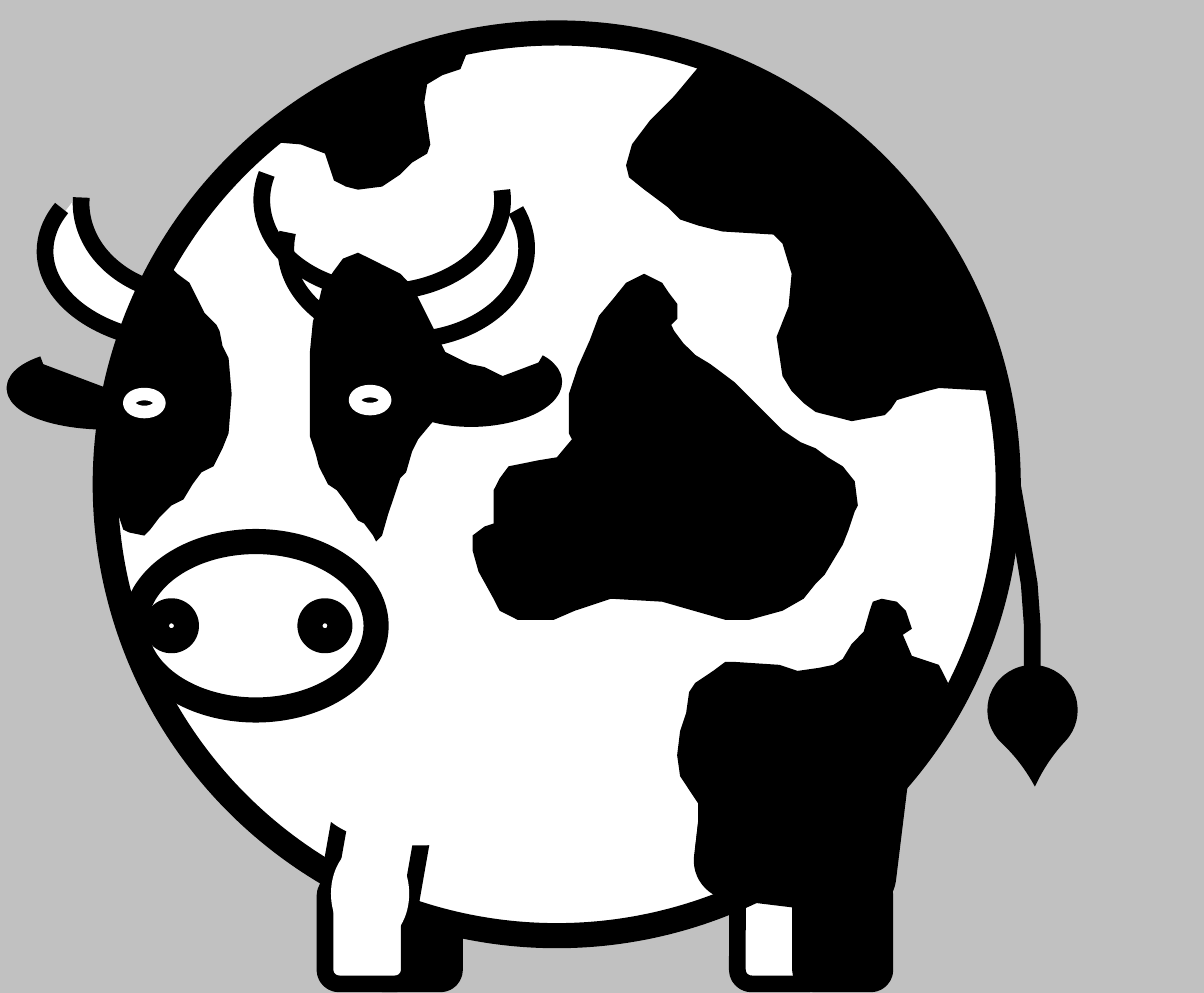
from pptx import Presentation
from pptx.dml.color import RGBColor
from pptx.enum.shapes import MSO_SHAPE as Preset
from pptx.util import Cm, Pt

BLACK, WHITE, GRAY = "000000", "FFFFFF", "C1C1C1"
THIN, MEDIUM, THICK = 3, 4, 6
DEGREE = 0.6  # one degree in adjustment units

# Outlines are in hundredths of an inch.
LEFT_HORN_BASE = [
    (49, 97), (44, 95), (39, 91), (34, 87), (32, 84), (30, 78), (28, 66), (25, 66),
    (22, 70), (18, 75), (16, 81), (17, 90), (19, 96), (24, 100), (30, 105), (36, 108),
    (41, 110), (44, 112), (47, 112), (47, 101),
]
RIGHT_EYE_PATCH = [
    (148, 135), (154, 136), (163, 135), (167, 132), (170, 129), (169, 126), (161, 122),
    (156, 121), (148, 117), (145, 111), (142, 105), (138, 97), (137, 95), (133, 91),
    (127, 88), (123, 86), (119, 84), (114, 86), (111, 90), (107, 96), (106, 100),
    (104, 107), (103, 117), (103, 145), (105, 151), (106, 155), (109, 161), (112, 163),
    (115, 167), (119, 173), (121, 174), (124, 178), (125, 180), (127, 178), (129, 171),
    (131, 165), (133, 159), (135, 157), (137, 150), (139, 146), (144, 140), (146, 136),
]
LEFT_EYE_PATCH = [
    (55, 87), (59, 91), (63, 94), (66, 100), (68, 104), (72, 108), (73, 110), (74, 115),
    (76, 119), (77, 131), (76, 144), (74, 149), (71, 155), (67, 157), (64, 161),
    (61, 166), (57, 168), (53, 172), (50, 176), (48, 178), (43, 177), (41, 176),
    (39, 170), (37, 166), (35, 159), (34, 155), (33, 149), (39, 118),
]
RUMP_PATCH = [
    (230, 20), (234, 20), (224, 32), (216, 40), (210, 48), (208, 55), (209, 59),
    (214, 63), (222, 69), (226, 73), (232, 75), (240, 77), (257, 78), (260, 81),
    (263, 91), (262, 102), (258, 112), (260, 125), (263, 130), (267, 134), (271, 137),
    (283, 140), (294, 138), (296, 136), (298, 133), (308, 130), (312, 129), (330, 130),
    (316, 89), (288, 51), (242, 20),
]
BELLY_PATCH = [
    (185, 152), (179, 153), (169, 155), (166, 159), (164, 163), (164, 174), (161, 175),
    (157, 178), (157, 183), (159, 190), (164, 199), (166, 203), (172, 206), (184, 206),
    (191, 203), (197, 201), (203, 199), (220, 200), (227, 202), (234, 204), (241, 206),
    (249, 206), (260, 203), (267, 199), (271, 194), (274, 191), (277, 186), (280, 181),
    (282, 176), (284, 170), (285, 168), (284, 160), (280, 155), (275, 152), (271, 149),
    (266, 147), (260, 143), (252, 135), (244, 127), (236, 121), (231, 118), (227, 114),
    (224, 110), (223, 108), (225, 106), (225, 101), (222, 97), (220, 94), (214, 91),
    (208, 94), (204, 99), (199, 105), (196, 113), (192, 122), (189, 131), (189, 144),
    (190, 146),
]
BACK_PATCH = [
    (88, 47), (100, 48), (108, 51), (111, 60), (115, 62), (119, 63), (127, 62),
    (133, 58), (137, 54), (142, 51), (143, 48), (142, 41), (141, 34), (142, 28),
    (147, 25), (153, 23), (155, 18), (152, 14), (144, 15), (136, 18), (127, 23),
    (117, 30), (106, 34), (101, 39), (94, 41),
]
HIND_PATCH = [
    (235, 279), (231, 282), (232, 273), (232, 267), (228, 261), (226, 258), (225, 251),
    (226, 243), (228, 237), (229, 230), (231, 227), (237, 223), (241, 220), (244, 220),
    (259, 221), (265, 223), (272, 222), (277, 221), (280, 219), (283, 214), (287, 210),
    (289, 203), (290, 200), (293, 199), (298, 200), (301, 203), (303, 209), (300, 211),
    (303, 218), (309, 220), (312, 221), (315, 227), (313, 233), (282, 283),
]
TAIL = [
    (327, 110), (330, 126), (333, 142), (336, 159), (339, 176), (342, 194), (343, 208),
    (343, 219), (343, 230),
]


def inches(value):
    return Cm(2.54 * value)


def color(hex_value):
    return RGBColor.from_string(hex_value)


def paint(shape, fill, line_width, line_color):
    shape.shadow.inherit = False
    if fill:
        shape.fill.solid()
        shape.fill.fore_color.rgb = color(fill)
    else:
        shape.fill.background()
    if line_width:
        shape.line.width = Pt(line_width)
        shape.line.color.rgb = color(line_color)
    else:
        shape.line.fill.background()


def add_preset(slide, preset, box, fill=None, line_width=0, line_color=BLACK,
               adjustments=(), rotation=0, flip=""):
    """Add a preset shape; flip holds any of the letters H and V."""
    shape = slide.shapes.add_shape(preset, *map(inches, box))
    paint(shape, fill, line_width, line_color)
    for index, value in enumerate(adjustments):
        shape.adjustments[index] = value
    shape.rotation = rotation
    for axis in flip:
        shape._element.spPr.xfrm.set(f"flip{axis}", "1")


def add_arc(slide, box, start, end, **style):
    add_preset(slide, Preset.ARC, box, line_width=MEDIUM,
               adjustments=(start * DEGREE, end * DEGREE), **style)


def add_outline(slide, points, fill=None, line_width=0, closed=True):
    builder = slide.shapes.build_freeform(*points[0], scale=inches(0.01))
    builder.add_line_segments(points[1:], close=closed)
    paint(builder.convert_to_shape(), fill, line_width, BLACK)


def add_lower_leg(slide, left, fill):
    add_preset(slide, Preset.ROUNDED_RECTANGLE, (left, 2.93, 0.28, 0.34), fill, MEDIUM)


def add_ellipse(slide, box, **style):
    add_preset(slide, Preset.OVAL, box, **style)


def add_eye(slide, left, top):
    add_ellipse(slide, (left, top, 0.1, 0.06), fill=BLACK, line_width=THIN,
                line_color=WHITE)


def add_body_and_muzzle(slide):
    nostrils = [(left, 2.03, 0.1, 0.1) for left in (0.52, 1.03)]
    for box in [(0.35, 0.11, 3, 3), (0.45, 1.8, 0.8, 0.56), *nostrils]:
        add_ellipse(slide, box, fill=WHITE, line_width=THICK)


def add_left_horn(slide):
    add_outline(slide, LEFT_HORN_BASE, WHITE)
    add_arc(slide, (0.15, 0.53, 0.94, 0.61), 183.59, 19.08, flip="HV")
    add_arc(slide, (0.27, 0.37, 0.74, 0.61), 172.99, 2.91, flip="HV")


def add_face(slide):
    add_outline(slide, RIGHT_EYE_PATCH, BLACK)
    add_eye(slide, 1.18, 1.3)
    add_arc(slide, (0.95, 0.52, 0.8, 0.61), 172.42, 19.08, flip="V")
    add_arc(slide, (0.87, 0.36, 0.8, 0.61), 167.25, 4.77, flip="V")
    add_arc(slide, (1.34, 1.17, 0.5, 0.22), 18.4, 197.6, fill=BLACK,
            rotation=356.8, flip="H")
    add_arc(slide, (0.05, 1.18, 0.61, 0.22), 28.85, 200.68, fill=BLACK)
    add_outline(slide, LEFT_EYE_PATCH, BLACK)
    add_eye(slide, 0.43, 1.31)


def add_tail(slide):
    add_outline(slide, TAIL, line_width=MEDIUM, closed=False)
    add_preset(slide, Preset.TEAR, (3.28, 2.21, 0.3, 0.3), BLACK,
               adjustments=[1.2], rotation=133.2)


def add_near_legs(slide):
    add_preset(slide, Preset.ROUNDED_RECTANGLE, (2.36, 2.31, 0.62, 0.68), BLACK,
               MEDIUM, rotation=7)
    add_lower_leg(slide, 2.66, BLACK)
    add_preset(slide, Preset.ROUNDED_RECTANGLE, (1.11, 2.65, 0.28, 0.39), WHITE,
               MEDIUM, rotation=10)
    add_lower_leg(slide, 1.08, WHITE)
    for joint_cover in [(1.06, 2.51, 0.67, 0.3), (1.1, 2.8, 0.26, 0.34)]:
        add_ellipse(slide, joint_cover, fill=WHITE)


def main():
    presentation = Presentation()
    presentation.slide_width, presentation.slide_height = inches(4), inches(3.3)
    slide = presentation.slides.add_slide(presentation.slide_layouts[6])
    slide.background.fill.solid()
    slide.background.fill.fore_color.rgb = color(GRAY)

    add_lower_leg(slide, 2.45, WHITE)
    add_lower_leg(slide, 1.23, BLACK)
    add_left_horn(slide)
    add_body_and_muzzle(slide)
    add_face(slide)
    for patch in (RUMP_PATCH, BELLY_PATCH, BACK_PATCH):
        add_outline(slide, patch, BLACK)
    add_tail(slide)
    add_near_legs(slide)
    add_outline(slide, HIND_PATCH, BLACK)
    presentation.save("out.pptx")


if __name__ == "__main__":
    main()
